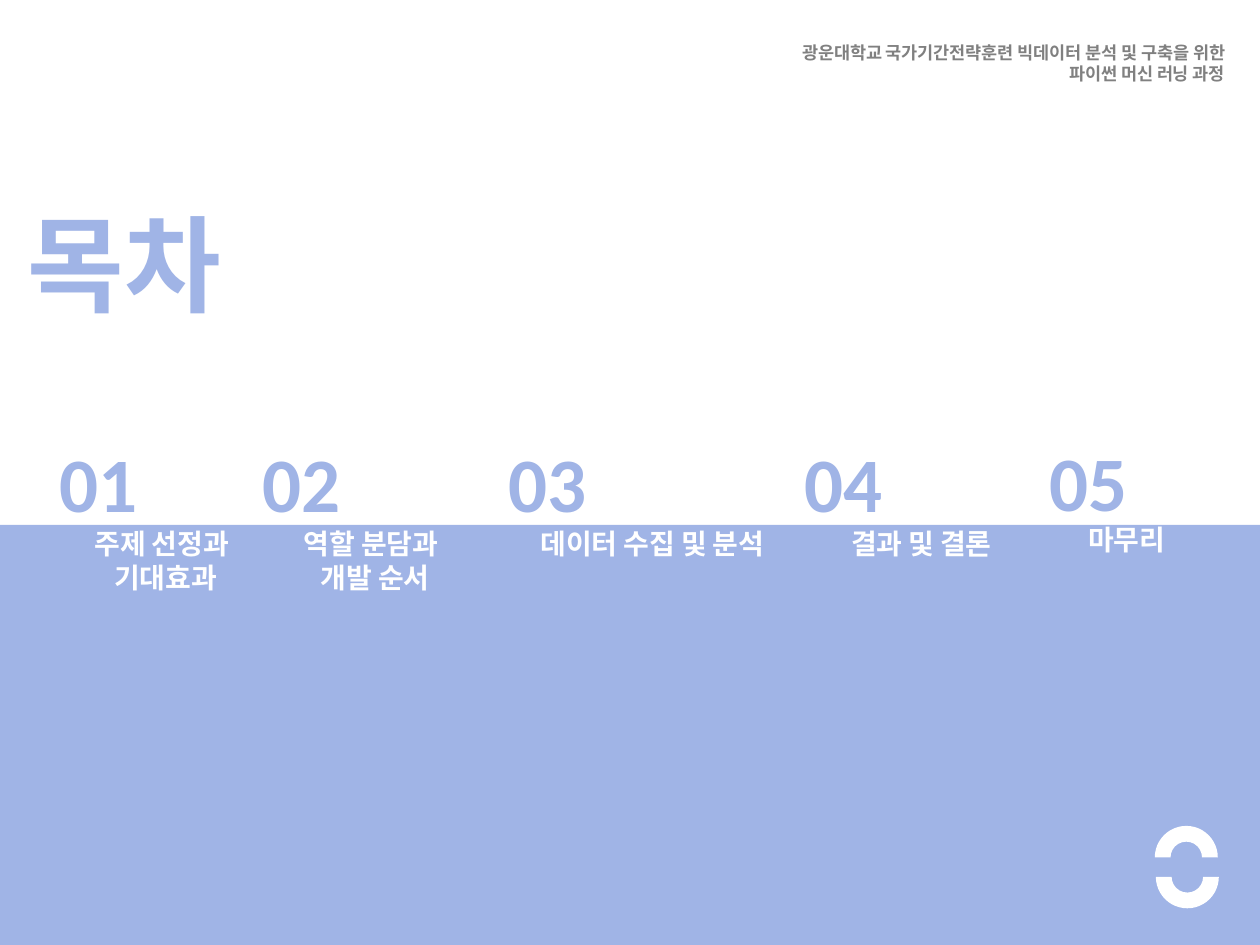
from dataclasses import dataclass

from lxml.etree import SubElement
from pptx import Presentation
from pptx.dml.color import RGBColor
from pptx.enum.shapes import MSO_SHAPE as Shape
from pptx.enum.text import MSO_ANCHOR as Anchor, MSO_AUTO_SIZE as AutoSize, PP_ALIGN as Align
from pptx.oxml.ns import qn
from pptx.util import Cm, Pt


@dataclass(frozen=True)
class Theme:
    accent: RGBColor = RGBColor(0xA0, 0xB4, 0xE6)
    light: RGBColor = RGBColor(0xFF, 0xFF, 0xFF)
    muted: RGBColor = RGBColor(0x80, 0x80, 0x80)
    font: str = "Calibri"
    course_font: str = "Noto Sans CJK KR"
    title: int = 60
    number: int = 44
    label: int = 16
    course: int = 10


THEME = Theme()
SLIDE_W, SLIDE_H = 25.4, 19.05
BAND_TOP = 10.58
LATER_LINE_INDENT = 0.16

# number left, top, label offset from the number (x, y), label width, label lines
ITEMS = [
    (0.95, 8.66, -0.74, 1.83, 6.10, "주제 선정과\n기대효과"),
    (5.04, 8.66, -0.34, 1.83, 5.56, "역할 분담과\n개발 순서"),
    (10.01, 8.66, 0.12, 1.83, 6.05, "데이터 수집 및 분석"),
    (15.96, 8.66, 0.09, 1.83, 5.05, "결과 및 결론"),
    (20.90, 8.64, -0.71, 1.77, 5.05, "마무리"),
]


def place(sp, left, top, width, height):
    sp.left, sp.top, sp.width, sp.height = map(Cm, (left, top, width, height))


def write(sp, text, size, color, align=Align.LEFT, font=THEME.font):
    """Fill a text shape with bold text, one paragraph for each line."""
    tf = sp.text_frame
    tf.text = text
    tf.word_wrap = True
    tf.auto_size = AutoSize.SHAPE_TO_FIT_TEXT
    tf.vertical_anchor = Anchor.TOP
    for p in tf.paragraphs:
        p.alignment = align
        for r in p.runs:
            r.font.size, r.font.bold, r.font.name = Pt(size), True, font
            r.font.color.rgb = color
            SubElement(r.font._element, qn("a:ea"), typeface=THEME.font)
    for p in tf.paragraphs[1:]:
        p._p.get_or_add_pPr().set("marL", str(Cm(LATER_LINE_INDENT)))


def add_text(slide, box, *args, **kwargs):
    write(slide.shapes.add_textbox(*map(Cm, box)), *args, **kwargs)


def add_filled(slide, kind, box, color):
    sp = slide.shapes.add_shape(kind, *map(Cm, box))
    sp.shadow.inherit = False
    sp.fill.solid()
    sp.fill.fore_color.rgb = color
    sp.line.fill.background()
    return sp


def add_header(slide, left, top, width):
    add_text(slide, (left, top, width, 1.12),
             "광운대학교 국가기간전략훈련 빅데이터 분석 및 구축을 위한 파이썬 머신 러닝 과정",
             THEME.course, THEME.muted, Align.RIGHT, THEME.course_font)


def add_title(slide, left, top, width, height):
    title = slide.shapes.title
    place(title, left, top, width, height)
    write(title, "목차", THEME.title, THEME.accent)


def add_item(slide, number, left, top, label_dx, label_dy, label_width, label):
    add_text(slide, (left, top, 3.68, 2.08), f"{number:02}", THEME.number, THEME.accent)
    label_height = 0.25 + 0.69 * len(label.splitlines())
    add_text(slide, (left + label_dx, top + label_dy, label_width, label_height),
             label, THEME.label, THEME.light, Align.CENTER)


def add_ring(slide, left, top, size):
    """Two half rings, the lower one turned and set a little apart."""
    add_filled(slide, Shape.BLOCK_ARC, (left, top, size, size), THEME.light)
    lower = add_filled(slide, Shape.BLOCK_ARC,
                       (left + 0.02, top + 0.39, size, size), THEME.light)
    lower.rotation = 180


def build_agenda(prs):
    slide = prs.slides.add_slide(prs.slide_layouts[5])
    add_filled(slide, Shape.RECTANGLE,
               (0, BAND_TOP, SLIDE_W, SLIDE_H - BAND_TOP), THEME.accent)
    add_header(slide, 15.06, 0.72, 9.88)
    add_title(slide, 0.3, 3.89, 13.59, 2.79)
    for number, item in enumerate(ITEMS, 1):
        add_item(slide, number, *item)
    add_ring(slide, 23.28, 16.65, 1.27)


def main():
    prs = Presentation()
    prs.slide_width, prs.slide_height = Cm(SLIDE_W), Cm(SLIDE_H)
    build_agenda(prs)
    prs.save("out.pptx")


if __name__ == "__main__":
    main()
